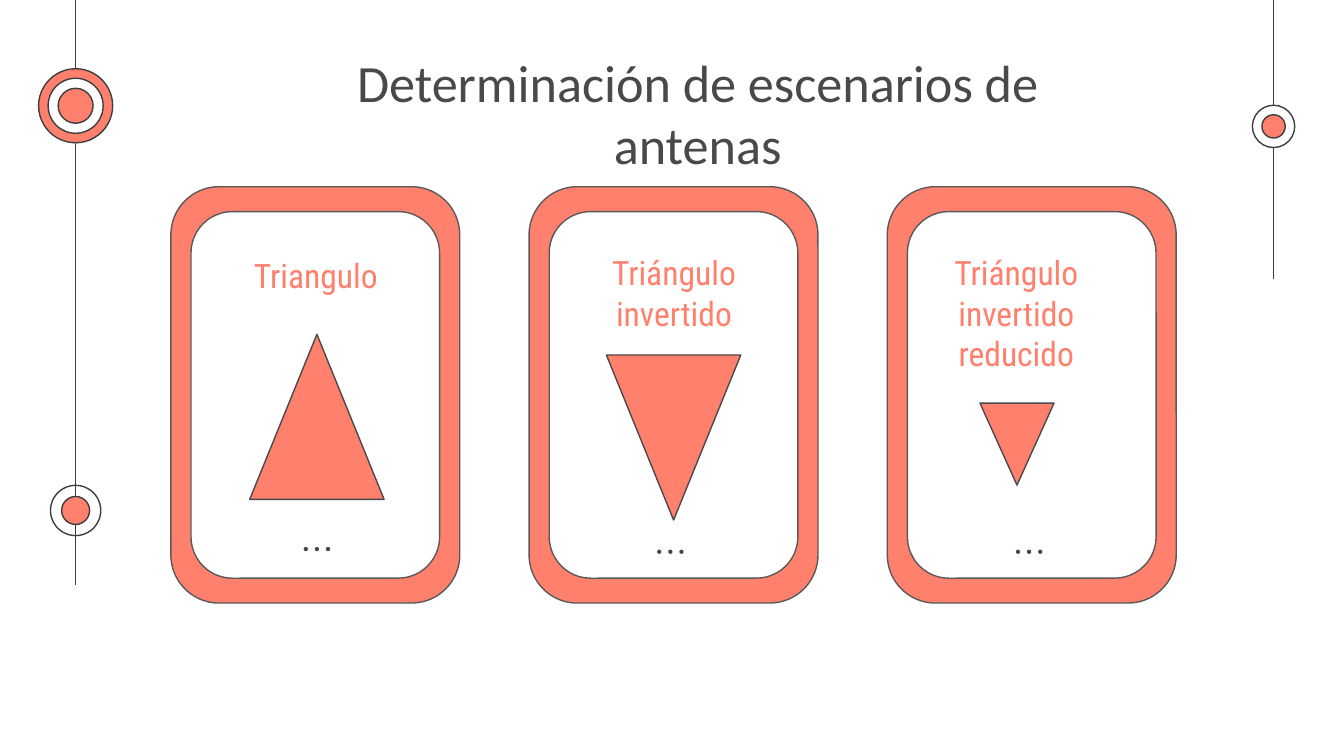
from lxml import etree
from pptx import Presentation
from pptx.dml.color import RGBColor
from pptx.enum.shapes import MSO_CONNECTOR, MSO_SHAPE as SHAPE
from pptx.enum.text import MSO_ANCHOR, MSO_AUTO_SIZE, PP_ALIGN
from pptx.oxml.ns import qn
from pptx.util import Cm, Pt

CORAL = RGBColor(0xFF, 0x80, 0x6D)
WHITE = RGBColor(0xFF, 0xFF, 0xFF)
INK = RGBColor(0x3D, 0x3D, 0x3D)
GREY = RGBColor(0x49, 0x49, 0x49)
BORDER = RGBColor(0x59, 0x59, 0x59)

prs = Presentation()
prs.slide_width, prs.slide_height = Cm(25.4), Cm(14.29)
s = prs.slides.add_slide(prs.slide_layouts[5])


def add_shape(kind, x, y, w, h, fill, line=None):
    sp = s.shapes.add_shape(kind, Cm(x), Cm(y), Cm(w), Cm(h))
    sp.shadow.inherit = False
    if fill is None:
        sp.fill.background()
    else:
        sp.fill.solid()
        sp.fill.fore_color.rgb = fill
    if line is None:
        sp.line.fill.background()
    else:
        sp.line.color.rgb = line
        sp.line.width = Pt(0.75)
    return sp


def set_text(sp, text, font, size, color):
    tf = sp.text_frame
    tf.word_wrap = True
    tf.auto_size = MSO_AUTO_SIZE.NONE
    tf.vertical_anchor = MSO_ANCHOR.TOP
    tf.margin_left = tf.margin_right = tf.margin_top = tf.margin_bottom = Cm(0.25)
    p = tf.paragraphs[0]
    p.alignment = PP_ALIGN.CENTER
    r = p.add_run()
    r.text = text
    r.font.name, r.font.size, r.font.color.rgb = font, Pt(size), color


left_x, right_x = 1.43, 24.07
for x, length in [(left_x, 11.05), (right_x, 5.28)]:
    cn = s.shapes.add_connector(MSO_CONNECTOR.STRAIGHT, Cm(x), Cm(0), Cm(x), Cm(length))
    cn.line.color.rgb = INK
    cn.line.width = Pt(0.75)
    etree.SubElement(cn._element.spPr, qn("a:effectLst"))

rings = [
    (left_x, 9.65, 0.95, None), (left_x, 9.65, 0.53, CORAL),
    (right_x, 2.39, 0.8, WHITE), (right_x, 2.39, 0.44, CORAL),
    (left_x, 2, 1.4, CORAL), (left_x, 2, 1.04, WHITE), (left_x, 2, 0.66, CORAL),
]
for cx, cy, d, fill in rings:
    add_shape(SHAPE.OVAL, cx - d / 2, cy - d / 2, d, d, fill, INK)

title = s.shapes.title
title.left, title.top, title.width, title.height = Cm(5.11), Cm(0.69), Cm(16.15), Cm(1.65)
set_text(title, "Determinación de escenarios de antenas", "Calibri", 28, GREY)

cards = [
    ("Triangulo", (4.09, 4.57, 3.76, 0.86), (4.72, 6.32, 2.54, 3.12), 0, (5.74, 10.34)),
    ("Triángulo invertido", (10.29, 4.52, 4.9, 0.91), (11.46, 6.71, 2.54, 3.12), 180, (12.42, 10.39)),
    ("Triángulo invertido reducido", (16.76, 4.52, 4.9, 0.91), (18.52, 7.62, 1.4, 1.55), 180, (19.2, 10.39)),
]
for i, (label, label_box, triangle_box, rotation, (dot_x, dot_y)) in enumerate(cards):
    x = 3.23 + 6.77 * i
    add_shape(SHAPE.ROUNDED_RECTANGLE, x, 3.53, 5.46, 7.87, CORAL, BORDER)
    add_shape(SHAPE.ROUNDED_RECTANGLE, x + 0.38, 4, 4.7, 6.93, WHITE, BORDER)
    for j in range(3):
        add_shape(SHAPE.OVAL, dot_x + 0.21 * j, dot_y, 0.08, 0.08, GREY)
    tb = s.shapes.add_textbox(*[Cm(v) for v in label_box])
    set_text(tb, label, "Roboto Condensed", 18, CORAL)
    triangle = add_shape(SHAPE.ISOSCELES_TRIANGLE, *triangle_box, CORAL, GREY)
    triangle.rotation = rotation

prs.save("out.pptx")
